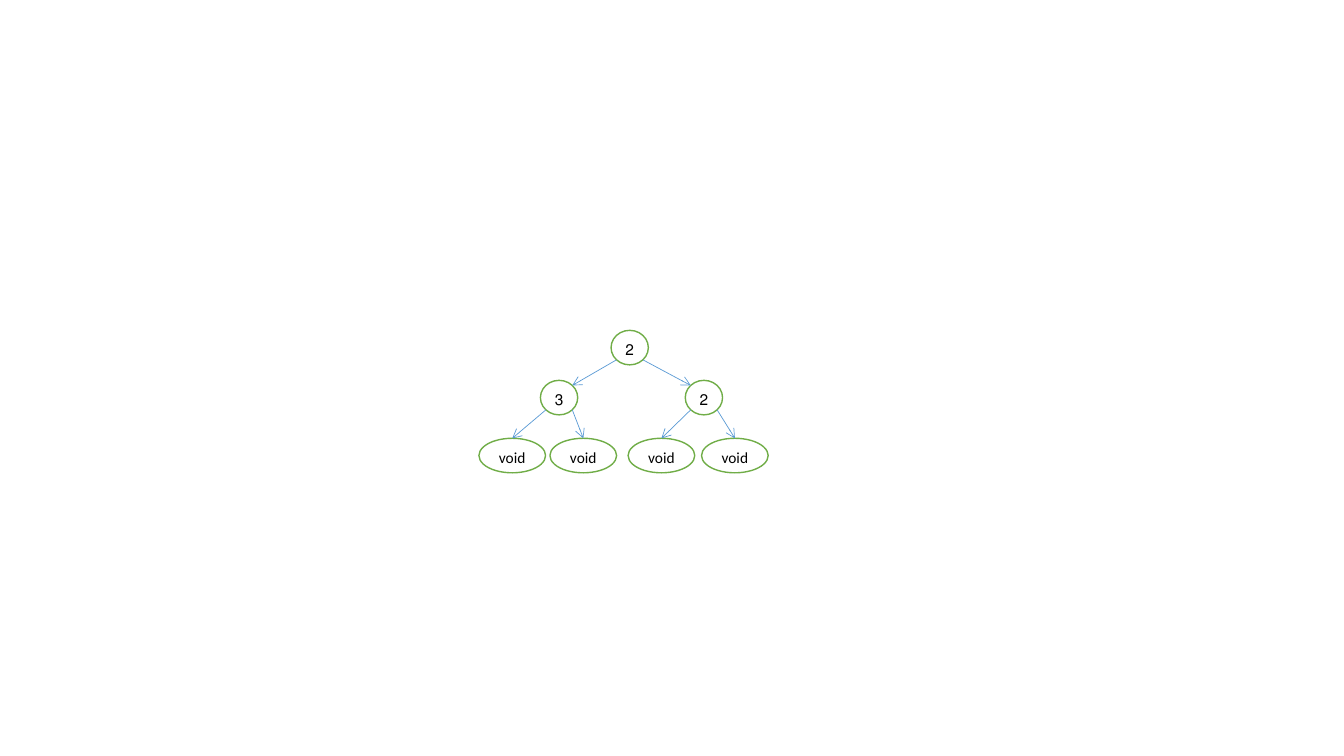
from dataclasses import dataclass
from math import sqrt

from lxml import etree
from pptx import Presentation
from pptx.dml.color import RGBColor
from pptx.enum.shapes import MSO_CONNECTOR, MSO_SHAPE
from pptx.enum.text import MSO_ANCHOR, PP_ALIGN
from pptx.oxml.ns import qn
from pptx.shapes.autoshape import Shape
from pptx.slide import Slide
from pptx.util import Cm, Pt

ELLIPSE = MSO_SHAPE.OVAL
STRAIGHT = MSO_CONNECTOR.STRAIGHT
MIDDLE = MSO_ANCHOR.MIDDLE
CENTER = PP_ALIGN.CENTER

COLORS = {
    "fill": "FFFFFF",
    "outline": "70AD47",
    "arrow": "5B9BD5",
    "text": "000000",
}
FONT = "Calibri"
NODE_HEIGHT = 0.87
NUMBER_WIDTH = 0.94
VOID_WIDTH = 1.68
LEVELS = [8.76, 10.02, 11.48]
DIAGONAL = 1 / sqrt(2)


@dataclass(frozen=True)
class Node:
    label: str
    center_x: float
    level: int
    children: tuple["Node", ...] = ()

    @property
    def center_y(self) -> float:
        return LEVELS[self.level]

    @property
    def width(self) -> float:
        return NUMBER_WIDTH if self.children else VOID_WIDTH

    def rim_point(self, across: float, down: float) -> tuple[float, float]:
        return (self.center_x + across * self.width / 2,
                self.center_y + down * NODE_HEIGHT / 2)


def color(name: str) -> RGBColor:
    return RGBColor.from_string(COLORS[name])


def write_text(shape: Shape, text: str, *, size: float = 11,
               color_name: str = "text") -> None:
    frame = shape.text_frame
    frame.word_wrap = False
    frame.vertical_anchor = MIDDLE
    frame.margin_left = frame.margin_right = 0
    frame.margin_top = frame.margin_bottom = 0
    paragraph = frame.paragraphs[0]
    paragraph.alignment = CENTER
    paragraph.line_spacing = 1.15
    paragraph.space_after = Pt(10)
    paragraph._p.get_or_add_pPr().set("rtl", "1")
    run = paragraph.add_run()
    run.text = text
    run.font.name = FONT
    run.font.size = Pt(size)
    run.font.color.rgb = color(color_name)


def draw_node(slide: Slide, node: Node) -> None:
    left, top = node.rim_point(-1, -1)
    shape = slide.shapes.add_shape(
        ELLIPSE, Cm(left), Cm(top), Cm(node.width), Cm(NODE_HEIGHT))
    shape.shadow.inherit = False
    shape.fill.solid()
    shape.fill.fore_color.rgb = color("fill")
    shape.line.color.rgb = color("outline")
    shape.line.width = Pt(1)
    write_text(shape, node.label)


def draw_arrow(slide: Slide, parent: Node, child: Node) -> None:
    side = DIAGONAL if child.center_x > parent.center_x else -DIAGONAL
    start = parent.rim_point(side, DIAGONAL)
    end = child.rim_point(-side, -DIAGONAL) if child.children else child.rim_point(0, -1)
    connector = slide.shapes.add_connector(
        STRAIGHT, *(Cm(value) for value in start + end))
    connector.line.color.rgb = color("arrow")
    connector.line.width = Pt(0.5)
    etree.SubElement(connector.line._get_or_add_ln(), qn("a:tailEnd"), type="arrow")
    etree.SubElement(connector._element.spPr, qn("a:effectLst"))


def main() -> None:
    presentation = Presentation()
    presentation.slide_width = Cm(33.87)
    presentation.slide_height = Cm(19.05)
    slide = presentation.slides.add_slide(presentation.slide_layouts[6])

    leaves = [Node("void", center_x, 2) for center_x in (12.91, 14.7, 16.67, 18.52)]
    left_branch = Node("3", 14.09, 1, tuple(leaves[:2]))
    right_branch = Node("2", 17.74, 1, tuple(leaves[2:]))
    root = Node("2", 15.87, 0, (left_branch, right_branch))
    nodes = [root, left_branch, right_branch, *leaves]

    for node in nodes:
        draw_node(slide, node)
    for node in nodes:
        for child in node.children:
            draw_arrow(slide, node, child)

    presentation.save("out.pptx")


main()
